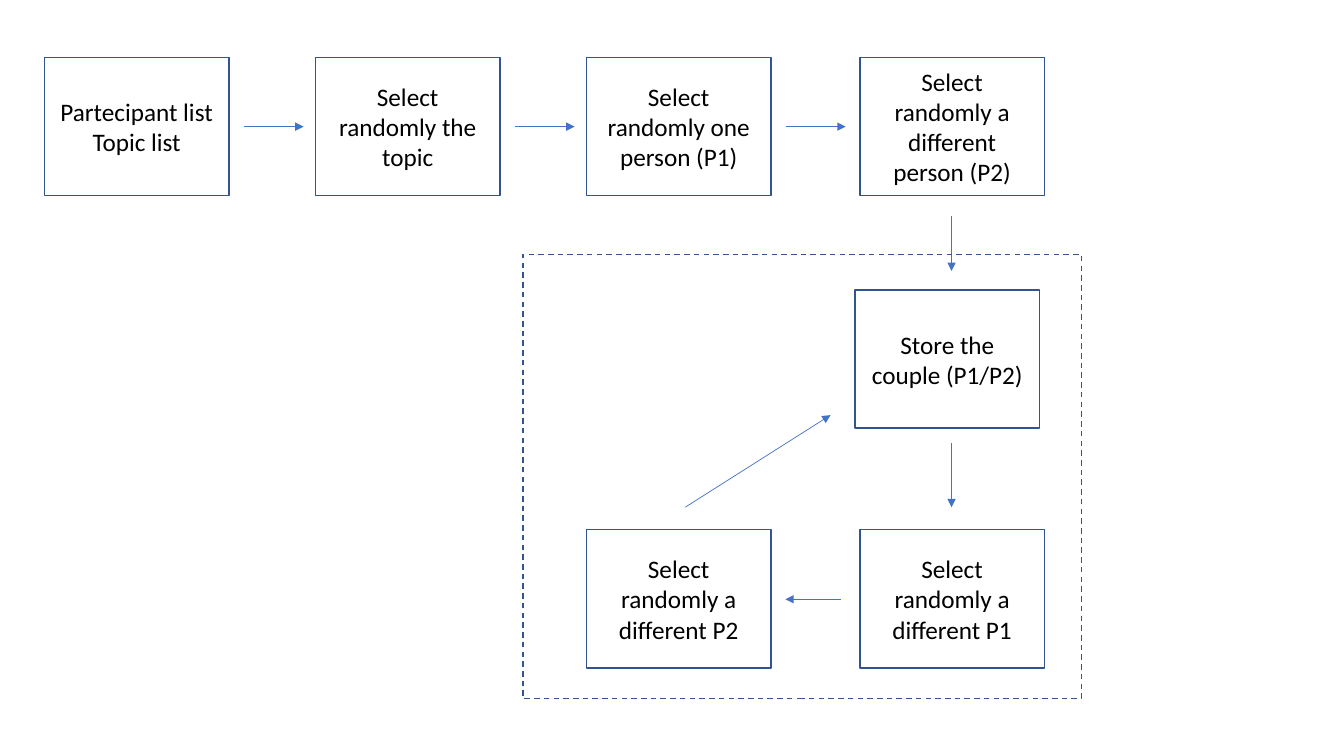
from lxml.etree import SubElement
from pptx import Presentation
from pptx.dml.color import RGBColor
from pptx.enum.dml import MSO_LINE
from pptx.enum.shapes import MSO_CONNECTOR, MSO_SHAPE
from pptx.enum.text import MSO_ANCHOR, PP_ALIGN
from pptx.oxml.ns import qn
from pptx.util import Cm, Pt

# Content: steps of the flow
SETUP_STEPS = [
    "Partecipant list\nTopic list",
    "Select randomly the topic",
    "Select randomly one person (P1)",
    "Select randomly a different person (P2)",
]
STORE_STEP = "Store the couple (P1/P2)"
NEXT_P1_STEP = "Select randomly a different P1"
NEXT_P2_STEP = "Select randomly a different P2"

COLORS = {"outline": "325491", "arrow": "4472C4", "text": "000000"}

# Layout in centimetres
BOX_WIDTH, BOX_HEIGHT = 4.65, 3.48
COLUMNS = [1.12, 7.95, 14.78, 21.67]
TOP_ROW, STORE_ROW, BOTTOM_ROW = 1.45, 7.31, 13.35
STORE_LEFT = 21.55
SIDE_MARGIN = 0.3
ARROW_GAP, ARROW_LENGTH = 0.38, 1.5
DOWN_X = 23.98
LOOP_FRAME = (13.18, 6.41, 14.07, 11.2)
LOOP_ARROWS = [
    (DOWN_X, 5.44, DOWN_X, 6.83),
    (DOWN_X, 11.17, DOWN_X, 12.78),
    (21.19, 15.1, 19.79, 15.1),
    (17.27, 12.78, 20.93, 10.46),
]


def add_outline(slide, left, top, width, height):
    shape = slide.shapes.add_shape(
        MSO_SHAPE.RECTANGLE, Cm(left), Cm(top), Cm(width), Cm(height))
    shape.shadow.inherit = False
    shape.fill.background()
    shape.line.color.rgb = RGBColor.from_string(COLORS["outline"])
    shape.line.width = Pt(1)
    return shape


def write_text(shape, text, size=18, font="Calibri", color="text",
               align=PP_ALIGN.CENTER, anchor=MSO_ANCHOR.MIDDLE):
    frame = shape.text_frame
    frame.text = text
    frame.word_wrap = True
    frame.margin_left = frame.margin_right = Cm(SIDE_MARGIN)
    frame.vertical_anchor = anchor
    for paragraph in frame.paragraphs:
        paragraph.alignment = align
        paragraph.font.size = Pt(size)
        paragraph.font.name = font
        paragraph.font.color.rgb = RGBColor.from_string(COLORS[color])


def add_step(slide, text, left, top):
    write_text(add_outline(slide, left, top, BOX_WIDTH, BOX_HEIGHT), text)


def add_arrow(slide, *ends):
    arrow = slide.shapes.add_connector(
        MSO_CONNECTOR.STRAIGHT, *[Cm(value) for value in ends])
    arrow.line.color.rgb = RGBColor.from_string(COLORS["arrow"])
    arrow.line.width = Pt(0.5)
    properties = arrow._element.spPr
    SubElement(properties.find(qn("a:ln")), qn("a:tailEnd"), type="triangle")
    SubElement(properties, qn("a:effectLst"))


def main():
    presentation = Presentation()
    presentation.slide_width, presentation.slide_height = Cm(33.87), Cm(19.05)
    slide = presentation.slides.add_slide(presentation.slide_layouts[6])

    # Setup row, with an arrow after every box but the last
    for text, left in zip(SETUP_STEPS, COLUMNS):
        add_step(slide, text, left, TOP_ROW)
    middle = TOP_ROW + BOX_HEIGHT / 2
    for left in COLUMNS[:-1]:
        start = left + BOX_WIDTH + ARROW_GAP
        add_arrow(slide, start, middle, start + ARROW_LENGTH, middle)

    # Repeating loop
    add_step(slide, STORE_STEP, STORE_LEFT, STORE_ROW)
    add_step(slide, NEXT_P1_STEP, COLUMNS[3], BOTTOM_ROW)
    add_step(slide, NEXT_P2_STEP, COLUMNS[2], BOTTOM_ROW)
    for ends in LOOP_ARROWS:
        add_arrow(slide, *ends)

    # Dashed frame around the loop
    add_outline(slide, *LOOP_FRAME).line.dash_style = MSO_LINE.DASH

    presentation.save("out.pptx")


if __name__ == "__main__":
    main()
